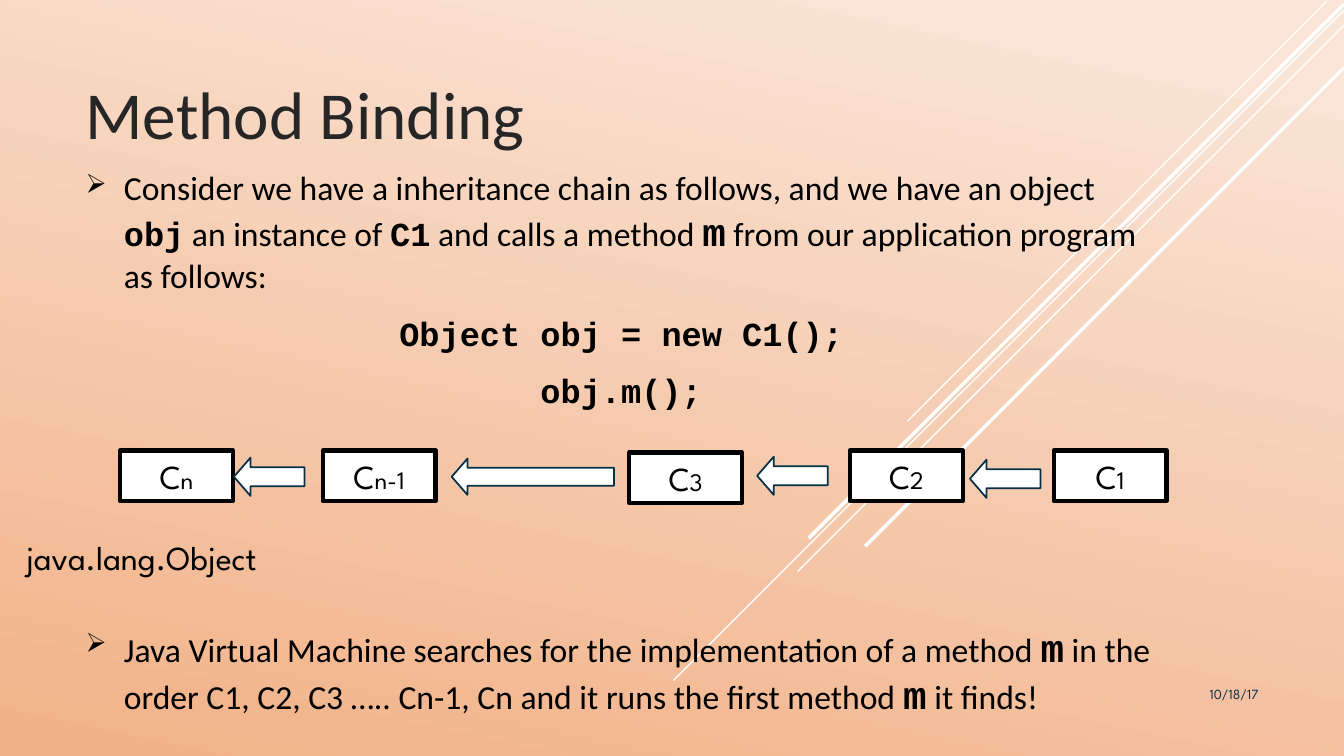
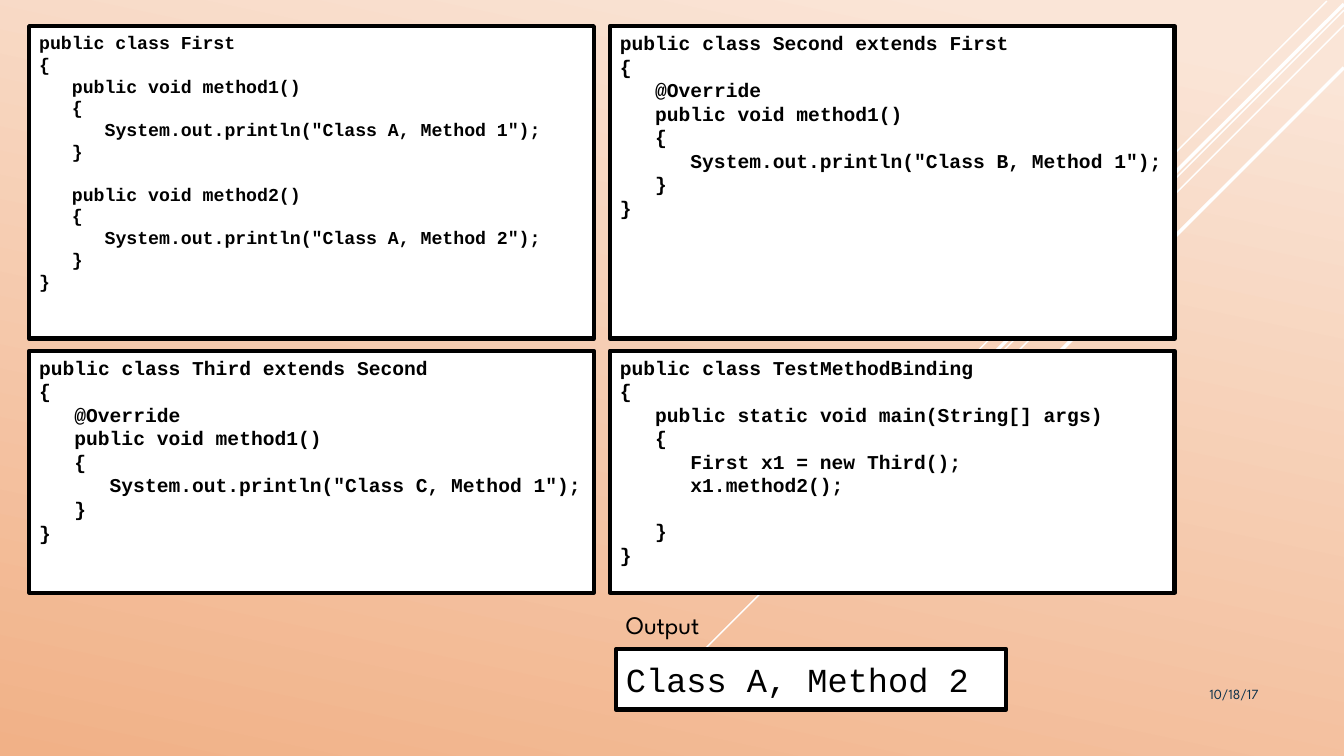
"""Build two slides that explain method binding along an inheritance chain."""
from lxml.etree import SubElement
from pptx import Presentation
from pptx.dml.color import RGBColor
from pptx.enum.shapes import MSO_CONNECTOR, MSO_SHAPE
from pptx.enum.text import MSO_ANCHOR, PP_ALIGN
from pptx.oxml.ns import qn
from pptx.util import Inches, Pt

WHITE = RGBColor(0xFF, 0xFF, 0xFF)
BLACK = RGBColor(0, 0, 0)
TITLE = RGBColor(0x26, 0x26, 0x26)
NAVY = RGBColor(0x04, 0x31, 0x48)
DATE = RGBColor(0x0A, 0x30, 0x4A)
PEACH = RGBColor(0xFA, 0xE5, 0xD7)
ORANGE = RGBColor(0xF1, 0xB1, 0x87)

SANS, MONO, GEO = "Calibri", "Courier New", "League Spartan"
BODY = (SANS, 24, False, BLACK)
CODE = (MONO, 24, True, BLACK)
BIG_CODE = (MONO, 28, True, BLACK)
LABEL = (GEO, 24, False, BLACK)
INDEX = (GEO, 18, False, BLACK)
OUTPUT = (MONO, 24, False, BLACK)

RAYS = [
    (13.16, 0.01, 9, 4.18, 1),
    (13.33, 0.1, 6.68, 6.75, 1),
    (13.33, 0.25, 7.91, 5.67, 1),
    (13.33, 0.04, 8.02, 5.34, 2.5),
    (13.33, 0.67, 8.58, 5.42, 2.5),
]

INTRO = [
    ("Consider we have a inheritance chain as follows, and we have an object ", BODY),
    ("obj", CODE),
    (" an instance of ", BODY),
    ("C1", CODE),
    (" and calls a method ", BODY),
    ("m", BIG_CODE),
    (" from our application program as follows:", BODY),
]
CALLS = ["Object obj = new C1();", "obj.m();"]
SEARCH = [
    ("Java Virtual Machine searches for the implementation of a method ", BODY),
    ("m", BIG_CODE),
    (" in the order C1, C2, C3 ….. Cn-1, Cn and it runs the first method ", BODY),
    ("m", BIG_CODE),
    (" it finds!", BODY),
]
CHAIN = [("1", 10.45, 4.47), ("2", 8.43, 4.47), ("3", 6.24, 4.49),
         ("n-1", 3.2, 4.47), ("n", 1.19, 4.47)]
ARROWS = [(9.62, 4.56, 0.7, 0.38), (4.48, 4.55, 1.61, 0.36),
          (7.51, 4.53, 0.7, 0.38), (2.32, 4.54, 0.7, 0.38)]

COLUMNS, PANEL_W = (0.29, 6.05), 5.6
ROWS = ((0.26, 3.1), (3.48, 2.4))
LISTINGS = [
    (13, """public class First
{
   public void method1()
   {
      System.out.println("Class A, Method 1");
   }

   public void method2()
   {
      System.out.println("Class A, Method 2");
   }
}"""),
    (14, """public class Second extends First
{
   @Override
   public void method1()
   {
      System.out.println("Class B, Method 1");
   }
}"""),
    (14, """public class Third extends Second
{
   @Override
   public void method1()
   {
      System.out.println("Class C, Method 1");
   }
}"""),
    (14, """public class TestMethodBinding
{
   public static void main(String[] args)
   {
      First x1 = new Third();
      x1.method2();

   }
}"""),
]
CHAR_W, LINE_H = 0.6, 1.13


def add_runs(p, runs):
    for text, (font, size, bold, color) in runs:
        r = p.add_run()
        r.text = text
        r.font.name, r.font.size, r.font.bold = font, Pt(size), bold
        r.font.color.rgb = color


def next_paragraph(tf):
    p = tf.paragraphs[0]
    return tf.add_paragraph() if p.runs else p


def add_bullet(p):
    pPr = p._p.get_or_add_pPr()
    pPr.set("marL", str(Inches(0.38)))
    pPr.set("indent", str(Inches(-0.38)))
    SubElement(SubElement(pPr, qn("a:buClr")), qn("a:srgbClr")).set("val", str(BLACK))
    SubElement(pPr, qn("a:buSzPct")).set("val", "80000")
    SubElement(pPr, qn("a:buChar")).set("char", "➢")


def add_text(s, box, runs, align=PP_ALIGN.LEFT, anchor=MSO_ANCHOR.TOP, wrap=True):
    tf = s.shapes.add_textbox(*map(Inches, box)).text_frame
    tf.word_wrap, tf.vertical_anchor = wrap, anchor
    p = tf.paragraphs[0]
    p.alignment = align
    add_runs(p, runs)
    return tf


def add_box(s, box, kind=MSO_SHAPE.RECTANGLE, line=BLACK, width=3):
    sp = s.shapes.add_shape(kind, *map(Inches, box))
    sp.shadow.inherit = False
    sp.fill.solid()
    sp.fill.fore_color.rgb = WHITE
    sp.line.color.rgb, sp.line.width = line, Pt(width)
    return sp


def add_label_box(s, box, runs, align):
    tf = add_box(s, box).text_frame
    tf.word_wrap, tf.vertical_anchor = True, MSO_ANCHOR.MIDDLE
    p = tf.paragraphs[0]
    p.alignment = align
    add_runs(p, runs)


def add_listing(s, box, size, source):
    tf = add_box(s, box).text_frame
    tf.word_wrap, tf.vertical_anchor = True, MSO_ANCHOR.TOP
    gap = 0
    for line in source.splitlines():
        text = line.lstrip()
        if not text:
            gap += size * LINE_H
            continue
        p = next_paragraph(tf)
        p.alignment = PP_ALIGN.LEFT
        p.space_before = Pt(gap)
        indent = Pt((len(line) - len(text)) * size * CHAR_W)
        p._p.get_or_add_pPr().set("marL", str(indent))
        add_runs(p, [(text, (MONO, size, True, BLACK))])
        gap = 0


def set_background(master):
    fill = master.background.fill
    fill.gradient()
    fill.gradient_angle = 258
    for stop, color, position in zip(fill.gradient_stops, (PEACH, ORANGE), (0.07, 1)):
        stop.color.rgb, stop.position = color, position


def new_slide(prs):
    s = prs.slides.add_slide(prs.slide_layouts[6])
    for *ends, width in RAYS:
        ray = s.shapes.add_connector(MSO_CONNECTOR.STRAIGHT, *map(Inches, ends))
        ray.line.color.rgb, ray.line.width = WHITE, Pt(width)
        SubElement(ray._element.spPr, qn("a:effectLst"))
    add_text(s, (10.83, 6.75, 1.75, 0.4), [("10/18/17", (GEO, 10, False, DATE))],
             PP_ALIGN.RIGHT)
    return s


def build_chain(prs):
    s = new_slide(prs)
    add_text(s, (0.75, 0.49, 8.75, 1.08), [("Method Binding", (SANS, 48, False, TITLE))],
             anchor=MSO_ANCHOR.BOTTOM)
    tf = add_text(s, (0.75, 1.61, 10.82, 2.62), INTRO)
    tf.paragraphs[0].space_after = Pt(6)
    add_bullet(tf.paragraphs[0])
    for call in CALLS:
        p = tf.add_paragraph()
        p.alignment = PP_ALIGN.CENTER
        p.space_before, p.space_after = Pt(6.5), Pt(6)
        add_runs(p, [(call, CODE)])
    for index, x, y in CHAIN:
        add_label_box(s, (x, y, 1.12, 0.5), [("C", LABEL), (index, INDEX)],
                      PP_ALIGN.CENTER)
    for box in ARROWS:
        arrow = add_box(s, box, MSO_SHAPE.LEFT_ARROW, NAVY, 1.25)
        arrow.adjustments[0], arrow.adjustments[1] = 0.5, 0.435
    tf = add_text(s, (0.75, 6.13, 10.82, 1.25), SEARCH)
    add_bullet(tf.paragraphs[0])
    add_text(s, (0.16, 5.28, 3.17, 0.64), [("java.lang.Object", LABEL)])


def build_listings(prs):
    s = new_slide(prs)
    for i, (size, source) in enumerate(LISTINGS):
        top, height = ROWS[i // 2]
        add_listing(s, (COLUMNS[i % 2], top, PANEL_W, height), size, source)
    add_label_box(s, (6.11, 6.44, 3.87, 0.6), [("Class A, Method 2", OUTPUT)],
                  PP_ALIGN.LEFT)
    add_text(s, (6.11, 6, 1.07, 0.4), [("Output", INDEX)], wrap=False)


def main():
    prs = Presentation()
    prs.slide_width, prs.slide_height = Inches(13.33), Inches(7.5)
    set_background(prs.slide_master)
    build_chain(prs)
    build_listings(prs)
    prs.save("out.pptx")


if __name__ == "__main__":
    main()
